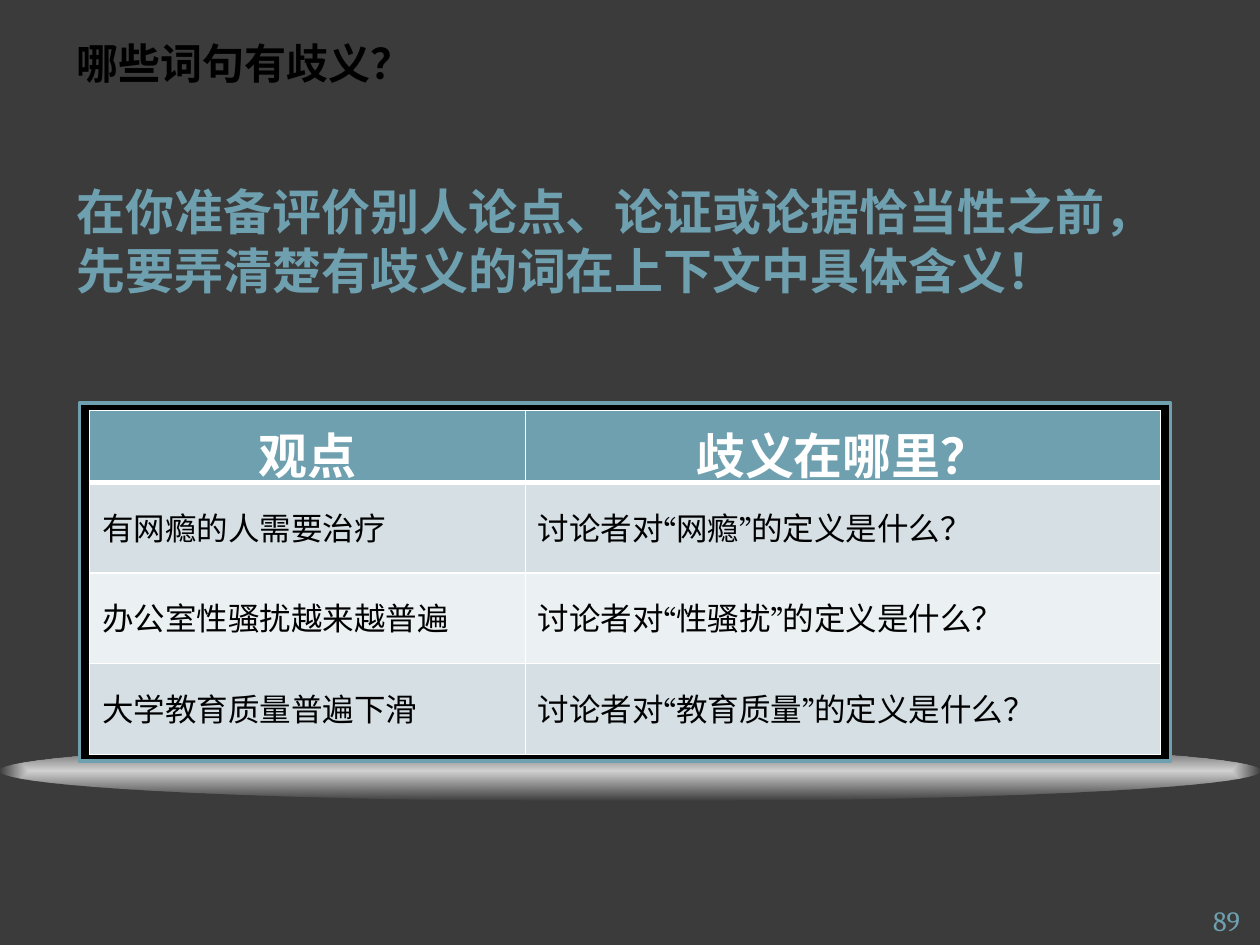
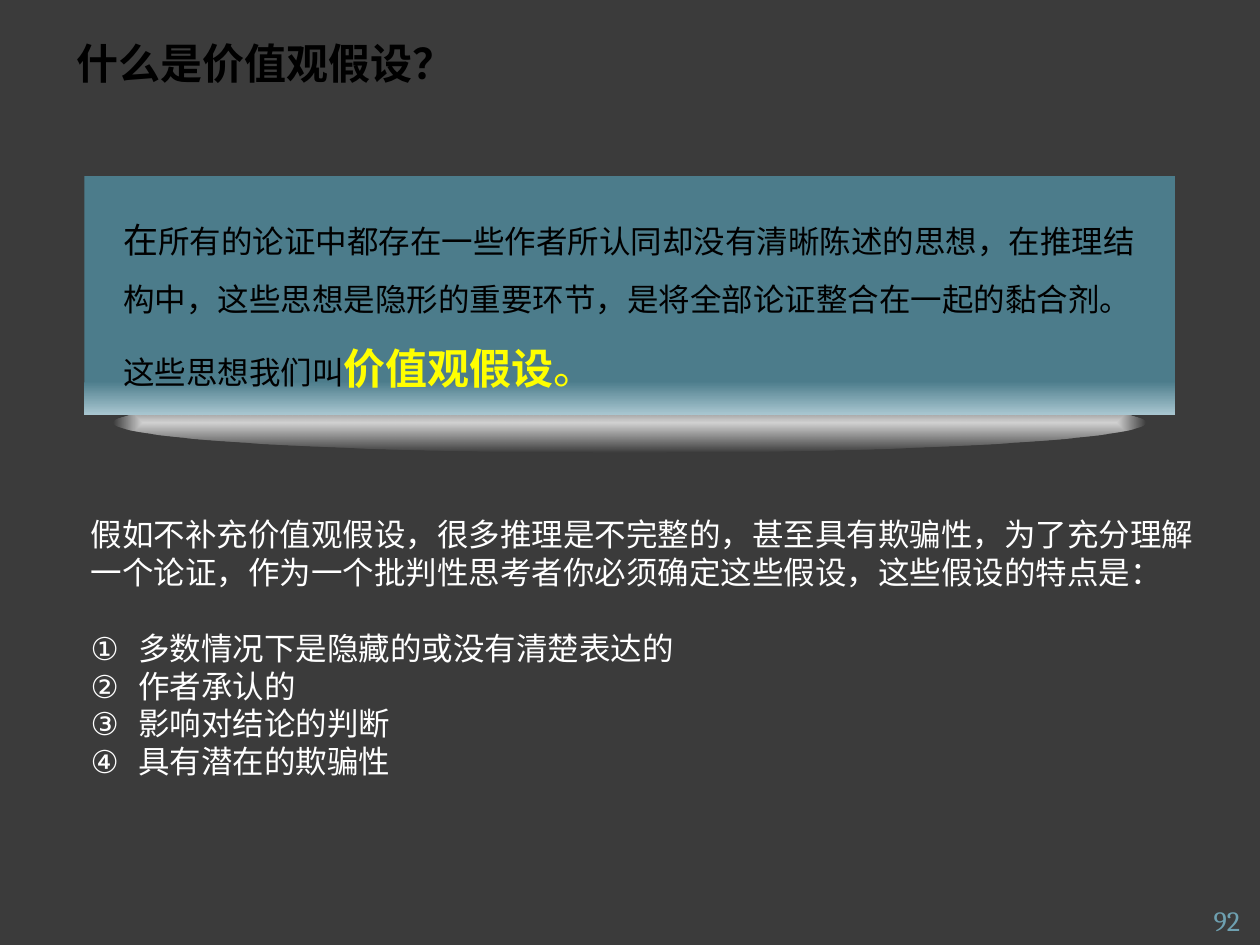
from lxml import etree
from pptx import Presentation
from pptx.dml.color import RGBColor
from pptx.enum.lang import MSO_LANGUAGE_ID as Language
from pptx.enum.shapes import MSO_SHAPE as Shape
from pptx.enum.text import MSO_ANCHOR as Anchor, PP_ALIGN as Align
from pptx.oxml.ns import qn
from pptx.util import Inches, Pt

COLORS = {
    "background": "3B3B3B",
    "accent": "6EA0B0",
    "black": "000000",
    "white": "FFFFFF",
    "highlight": "FFFF00",
    "callout": "4C7C8B",
    "callout_edge": "A8C6D0",
    "row_dark": "D5DFE4",
    "row_light": "EBF0F2",
}
CJK_FONT = "TeX Gyre Schola"
TITLE_FONT = "Noto Sans CJK SC"

VIEWS = [
    ("观点", "歧义在哪里？"),
    ("有网瘾的人需要治疗", "讨论者对“网瘾”的定义是什么？"),
    ("办公室性骚扰越来越普遍", "讨论者对“性骚扰”的定义是什么？"),
    ("大学教育质量普遍下滑", "讨论者对“教育质量”的定义是什么？"),
]
ADVICE = ["在你准备评价别人论点、论证或论据恰当性之前，", "先要弄清楚有歧义的词在上下文中具体含义！"]
CALLOUT_RUNS = [
    ("在", 20, "black", False),
    ("所有的论证中都存在一些作者所认同却没有清晰陈述的思想，在推理结构中，"
     "这些思想是隐形的重要环节，是将全部论证整合在一起的黏合剂。这些思想我们叫", 18, "black", False),
    ("价值观假设", 24, "highlight", True),
    ("。", 24, "highlight", False),
]
ASSUMPTION_INTRO = ("假如不补充价值观假设，很多推理是不完整的，甚至具有欺骗性，为了充分理解"
                    "一个论证，作为一个批判性思考者你必须确定这些假设，这些假设的特点是：")
ASSUMPTION_TRAITS = ["多数情况下是隐藏的或没有清楚表达的", "作者承认的", "影响对结论的判断", "具有潜在的欺骗性"]


def rgb(name):
    """Return the named colour."""
    return RGBColor.from_string(COLORS[name])


def format_run(run, size, color, font="Calibri", bold=False, cjk_font=CJK_FONT):
    """Set the size, colour and typefaces of a run."""
    run.font.size = Pt(size)
    run.font.bold = bold
    run.font.name = font
    run.font.language_id = Language.SIMPLIFIED_CHINESE
    run.font.color.rgb = rgb(color)
    latin = run.font._element.find(qn("a:latin"))
    east_asian = etree.Element(qn("a:ea"), typeface=cjk_font)
    latin.addnext(east_asian)


def add_text(slide, box, lines, size, color, anchor=Anchor.TOP, align=Align.LEFT, **style):
    """Add a text box with one paragraph per line and return its text frame."""
    text_frame = slide.shapes.add_textbox(*map(Inches, box)).text_frame
    text_frame.word_wrap = True
    text_frame.vertical_anchor = anchor
    text_frame.text = "\n".join(lines)
    for paragraph in text_frame.paragraphs:
        paragraph.alignment = align
        for run in paragraph.runs:
            format_run(run, size, color, **style)
    return text_frame


def add_shape(slide, kind, box):
    """Add a preset shape without shadow or outline."""
    shape = slide.shapes.add_shape(kind, *map(Inches, box))
    shape.shadow.inherit = False
    shape.line.fill.background()
    return shape


def set_gradient(shape, stops):
    """Fill a shape from top to bottom with (position, colour) stops."""
    shape.fill.gradient()
    shape.fill.gradient_angle = 270
    for stop, (position, color) in zip(shape.fill.gradient_stops, stops):
        stop.position = position
        stop.color.rgb = rgb(color)


def add_glow(slide, box):
    """Add a white ellipse that fades along its outline."""
    glow = add_shape(slide, Shape.OVAL, box)
    set_gradient(glow, [(0, "white"), (1, "white")])
    gradient = glow._element.spPr.find(qn("a:gradFill"))
    for color, alpha in zip(gradient.iter(qn("a:srgbClr")), ("77000", "0")):
        etree.SubElement(color, qn("a:alpha"), val=alpha)
    radial = etree.Element(qn("a:path"), attrib={"path": "shape"})
    center = dict.fromkeys("ltrb", "50000")
    etree.SubElement(radial, qn("a:fillToRect"), attrib=center)
    gradient.replace(gradient.find(qn("a:lin")), radial)


def set_borders(cell, top, bottom):
    """Draw white cell borders, with the top and bottom widths in points."""
    properties = cell._tc.get_or_add_tcPr()
    widths = {"a:lnL": 1, "a:lnR": 1, "a:lnT": top, "a:lnB": bottom}
    for index, (tag, width) in enumerate(widths.items()):
        line = etree.Element(qn(tag), w=str(Pt(width)))
        fill = etree.SubElement(line, qn("a:solidFill"))
        etree.SubElement(fill, qn("a:srgbClr"), val=COLORS["white"])
        properties.insert(index, line)


def add_views_table(slide, box, rows, column_widths, row_heights):
    """Add a table with a header row and alternating row fills."""
    table = slide.shapes.add_table(len(rows), len(column_widths), *map(Inches, box)).table
    for column, width in zip(table.columns, column_widths):
        column.width = Inches(width)
    for row_index, (row, height) in enumerate(zip(rows, row_heights)):
        table.rows[row_index].height = Inches(height)
        is_header = row_index == 0
        band = "row_dark" if row_index % 2 else "row_light"
        for column_index, text in enumerate(row):
            cell = table.cell(row_index, column_index)
            cell.text_frame.text = text
            cell.vertical_anchor = Anchor.MIDDLE
            cell.fill.solid()
            cell.fill.fore_color.rgb = rgb("accent" if is_header else band)
            set_borders(cell, 3 if row_index == 1 else 1, 3 if is_header else 1)
            paragraph = cell.text_frame.paragraphs[0]
            paragraph.alignment = Align.CENTER if is_header else Align.LEFT
            format_run(paragraph.runs[0], 28 if is_header else 18,
                       "white" if is_header else "black", CJK_FONT, is_header)


def add_callout(slide, box, runs):
    """Add a gradient panel holding one paragraph of mixed runs."""
    panel = add_shape(slide, Shape.RECTANGLE, box)
    set_gradient(panel, [(0.86, "callout"), (1, "callout_edge")])
    text_frame = panel.text_frame
    text_frame.word_wrap = True
    text_frame.vertical_anchor = Anchor.MIDDLE
    text_frame.margin_left = text_frame.margin_right = Inches(0.31)
    text_frame.margin_top = text_frame.margin_bottom = Inches(0.2)
    paragraph = text_frame.paragraphs[0]
    paragraph.alignment = Align.LEFT
    paragraph.line_spacing = 1.5
    for text, size, color, bold in runs:
        run = paragraph.add_run()
        run.text = text
        format_run(run, size, color, bold=bold)


def number_paragraph(paragraph):
    """Give a paragraph a circled number and a hanging indent."""
    properties = paragraph._p.get_or_add_pPr()
    properties.set("marL", str(Inches(0.38)))
    properties.set("indent", str(Inches(-0.38)))
    etree.SubElement(properties, qn("a:buAutoNum"), type="circleNumDbPlain")


def add_base_slide(presentation, title, number):
    """Add a dark slide with its title and page number."""
    slide = presentation.slides.add_slide(presentation.slide_layouts[6])
    slide.background.fill.solid()
    slide.background.fill.fore_color.rgb = rgb("background")
    add_text(slide, (0.51, 0.23, 8.98, 0.54), [title], 24, "black", Anchor.MIDDLE,
             font=TITLE_FONT, bold=True, cjk_font=TITLE_FONT)
    add_text(slide, (8.94, 7.17, 1, 0.27), [str(number)], 16, "accent", Anchor.MIDDLE,
             Align.RIGHT, font="Cambria")
    return slide


def build_ambiguity_slide(presentation):
    """Build the slide on ambiguous wording."""
    slide = add_base_slide(presentation, "哪些词句有歧义？", 89)
    add_glow(slide, (0, 5.88, 10, 0.47))
    frame = add_shape(slide, Shape.RECTANGLE, (0.63, 3.2, 8.66, 2.84))
    frame.fill.solid()
    frame.fill.fore_color.rgb = rgb("black")
    frame.line.color.rgb = rgb("accent")
    frame.line.width = Pt(2)
    add_text(slide, (0.51, 1.39, 8.98, 1.04), ADVICE, 28, "accent", font="Arial", bold=True)
    add_views_table(slide, (0.71, 3.26, 8.5, 2.72), VIEWS, (3.46, 5.04), [0.52] + [0.72] * 3)


def build_assumption_slide(presentation):
    """Build the slide on value assumptions."""
    slide = add_base_slide(presentation, "什么是价值观假设？", 92)
    add_glow(slide, (0.9, 3.12, 8.19, 0.47))
    add_callout(slide, (0.67, 1.4, 8.66, 1.89), CALLOUT_RUNS)
    text_frame = add_text(slide, (0.62, 4.04, 8.98, 2.22),
                          [ASSUMPTION_INTRO, *ASSUMPTION_TRAITS], 18, "white")
    intro, *traits = text_frame.paragraphs
    intro.space_after = Pt(21.7)
    for paragraph in traits:
        number_paragraph(paragraph)


def main():
    """Build and save the presentation."""
    presentation = Presentation()
    presentation.slide_width = Inches(10)
    presentation.slide_height = Inches(7.5)
    build_ambiguity_slide(presentation)
    build_assumption_slide(presentation)
    presentation.save("out.pptx")


if __name__ == "__main__":
    main()
